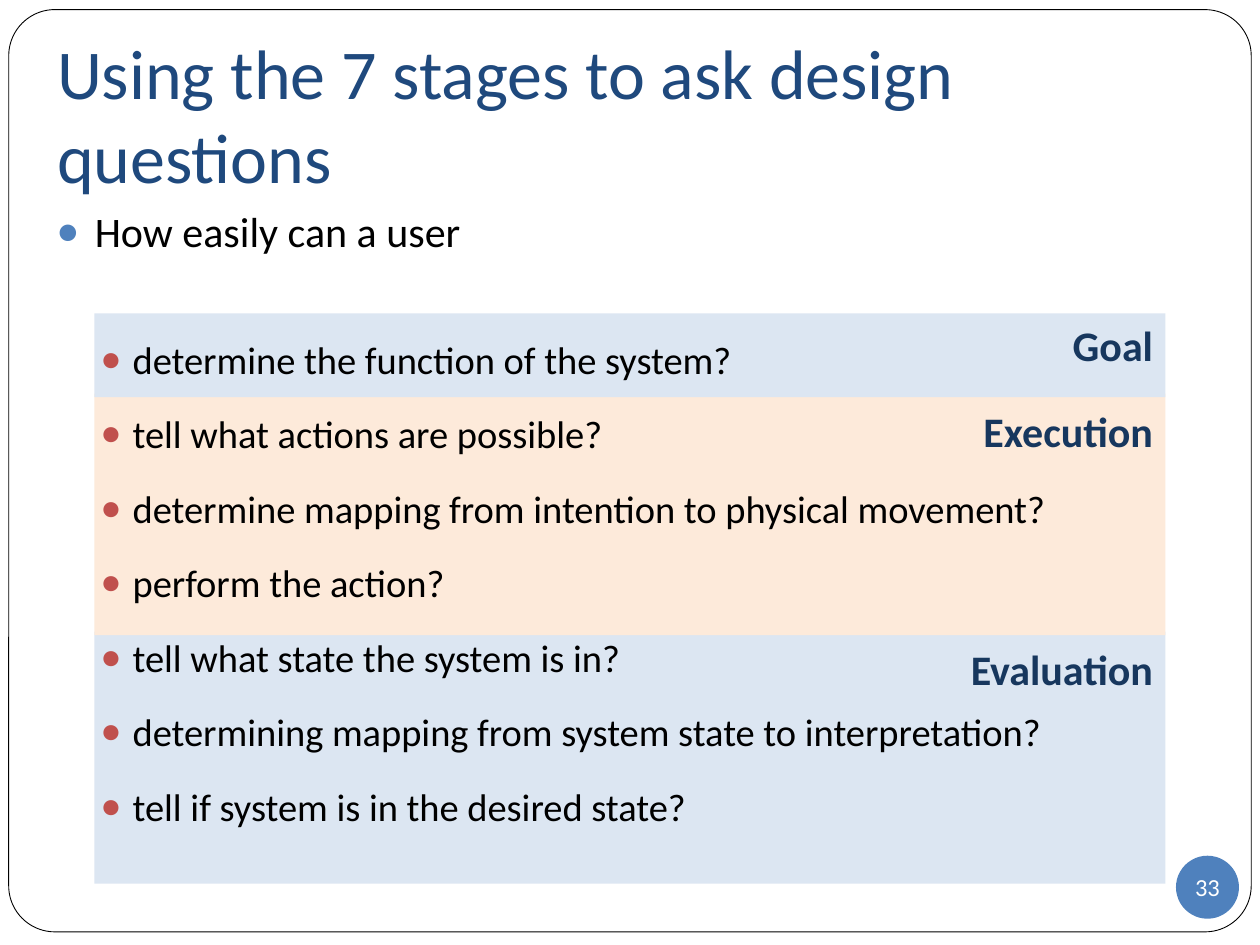
import pptx
import pptx.dml.color
import pptx.enum.shapes
import pptx.enum.text
import pptx.oxml.ns
import pptx.util
from lxml import etree

Pt = pptx.util.Pt
SHAPE = pptx.enum.shapes.MSO_SHAPE
ALIGN = pptx.enum.text.PP_ALIGN
ANCHOR = pptx.enum.text.MSO_ANCHOR
FONT = "Calibri"
BLUE, RED, NAVY = "4F81BD", "C0504D", "17375E"
PALE_BLUE, PALE_ORANGE = "DCE6F2", "FDEADA"
QUESTIONS = [
    "determine the function of the system?",
    "tell what actions are possible?",
    "determine mapping from intention to physical movement?",
    "perform the action?",
    "tell what state the system is in?",
    "determining mapping from system state to interpretation?",
    "tell if system is in the desired state?",
]
STAGES = [
    ("Evaluation", 361, 144, PALE_BLUE, 3),
    ("Execution", 225, 138, PALE_ORANGE, 3),
    ("Goal", 179, 48, PALE_BLUE, 0),
]


def rgb(color):
    """Turn a hex string into a colour."""
    return pptx.dml.color.RGBColor.from_string(color)


def add_text(tf, text, size=24, color="000000", bold=False, align=ALIGN.LEFT, new=False):
    """Write one formatted paragraph into a text frame and return it."""
    p = tf.add_paragraph() if new else tf.paragraphs[0]
    p.alignment = align
    r = p.add_run()
    r.text = text
    r.font.name, r.font.size, r.font.bold = FONT, Pt(size), bold
    r.font.color.rgb = rgb(color)
    return p


def add_bullet(p, color, left, hang):
    """Give a paragraph a round coloured bullet with a hanging indent."""
    pPr = p._p.get_or_add_pPr()
    pPr.set("marL", str(Pt(left)))
    pPr.set("indent", str(-Pt(hang)))
    qn = pptx.oxml.ns.qn
    clr = etree.SubElement(pPr, qn("a:buClr"))
    etree.SubElement(clr, qn("a:srgbClr"), val=color)
    etree.SubElement(pPr, qn("a:buSzPct"), val="85000")
    etree.SubElement(pPr, qn("a:buFont"), typeface=FONT)
    etree.SubElement(pPr, qn("a:buChar"), char="●")


def add_box(s, left, top, width, height, anchor=ANCHOR.TOP):
    """Add a wrapping text box and return its text frame."""
    tf = s.shapes.add_textbox(Pt(left), Pt(top), Pt(width), Pt(height)).text_frame
    tf.word_wrap = True
    tf.vertical_anchor = anchor
    return tf


def add_shape(s, kind, left, top, width, height, fill, line=None):
    """Add a flat preset shape."""
    sp = s.shapes.add_shape(kind, Pt(left), Pt(top), Pt(width), Pt(height))
    sp.shadow.inherit = False
    sp.fill.solid()
    sp.fill.fore_color.rgb = rgb(fill)
    if line:
        sp.line.color.rgb = rgb(line)
        sp.line.width = Pt(0.5)
    else:
        sp.line.fill.background()
    return sp


def add_frame(s, left, top, width, height):
    """Draw the rounded outline of the slide."""
    sp = add_shape(s, SHAPE.ROUNDED_RECTANGLE, left, top, width, height, "FFFFFF", "000000")
    sp.adjustments[0] = 0.05


def add_stages(s, left, width):
    """Draw the stage bands, each with its name at the upper right."""
    for name, top, height, fill, drop in STAGES:
        add_shape(s, SHAPE.RECTANGLE, left, top, width, height, fill)
        tf = add_box(s, left + width - 130, top + drop, 130, 36)
        add_text(tf, name, color=NAVY, bold=True, align=ALIGN.RIGHT)


def add_title(s, left, top, width, height):
    """Add the slide title."""
    tf = add_box(s, left, top, width, height, ANCHOR.MIDDLE)
    tf.margin_bottom = Pt(7.2)
    add_text(tf, "Using the 7 stages to ask design questions", size=40, color="1F497D")


def add_questions(s, left, top, width, height):
    """Add the lead-in and the list of questions."""
    tf = add_box(s, left, top, width, height)
    p = add_text(tf, "How easily can a user")
    p.space_after = Pt(29.3)
    add_bullet(p, BLUE, 21.6, 21.6)
    for question in QUESTIONS:
        p = add_text(tf, question, size=22, new=True)
        p.line_spacing = 1.5
        p.space_before = Pt(3)
        add_bullet(p, RED, 43.2, 18)


def add_number(s, left, top, size):
    """Add the slide number in its disc."""
    sp = add_shape(s, SHAPE.OVAL, left, top, size, size, BLUE)
    tf = sp.text_frame
    tf.margin_left = tf.margin_right = tf.margin_top = tf.margin_bottom = 0
    tf.word_wrap = False
    tf.vertical_anchor = ANCHOR.MIDDLE
    add_text(tf, "33", size=14, color="FFFFFF", align=ALIGN.CENTER)


def main():
    """Build and save the slide."""
    prs = pptx.Presentation()
    prs.slide_width, prs.slide_height = Pt(720), Pt(540)
    s = prs.slides.add_slide(prs.slide_layouts[6])
    add_frame(s, 5, 5.5, 710, 527)
    add_stages(s, 54, 612)
    add_title(s, 25.5, 21.6, 680, 90)
    add_questions(s, 25.5, 114, 675, 405)
    add_number(s, 672, 489, 36)
    prs.save("out.pptx")


if __name__ == "__main__":
    main()
